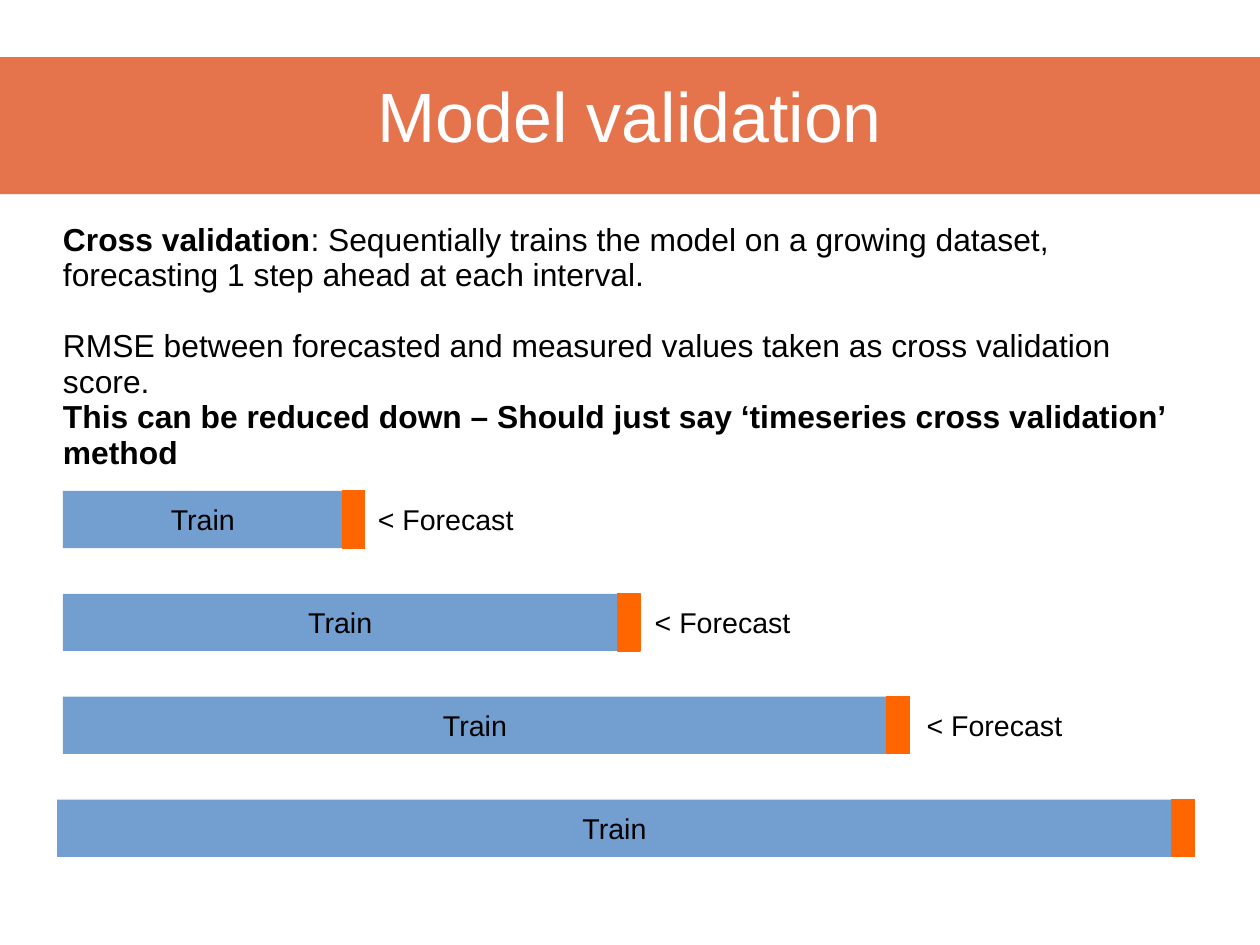
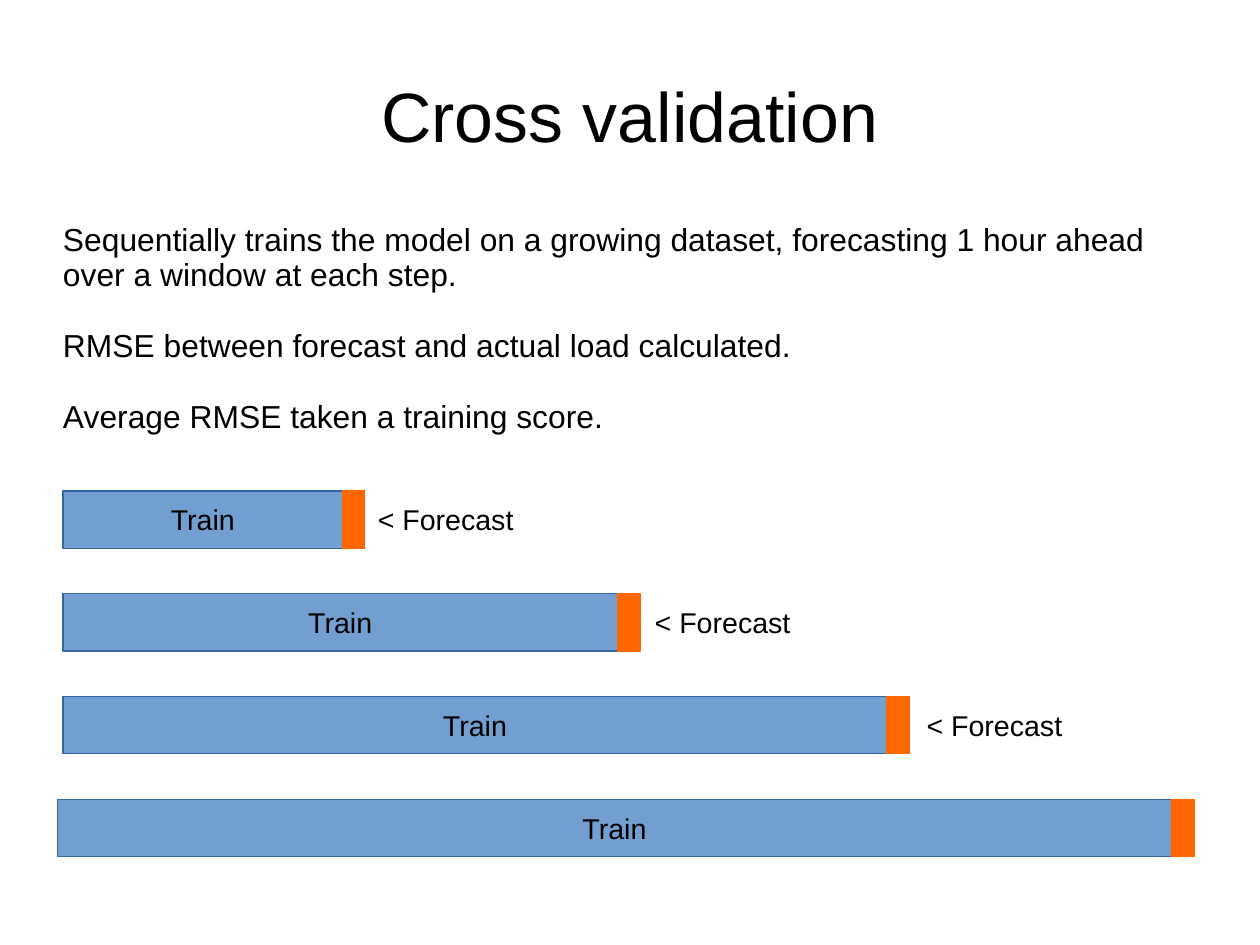
from dataclasses import dataclass

from lxml import etree
from pptx import Presentation
from pptx.dml.color import RGBColor
from pptx.enum.shapes import MSO_SHAPE
from pptx.enum.text import MSO_ANCHOR, MSO_AUTO_SIZE, PP_ALIGN
from pptx.oxml.ns import qn
from pptx.util import Inches, Mm, Pt

SLIDE_WIDTH, SLIDE_HEIGHT = Mm(280), Mm(210)


@dataclass(frozen=True)
class Theme:
    font: str = "Arial"
    band: str = "DD4814"
    band_opacity: int = 76
    train: str = "729FCF"
    train_outline: str = "3465A4"
    forecast: str = "FF6600"
    paper: str = "FFFFFF"
    ink: str = "000000"
    title_size: int = 44
    body_size: int = 20
    label_size: int = 18
    outline_width: float = 0.75
    line_spacing: float = 0.93
    paragraph_gap: float = 22.3


THEME = Theme()

# Left, top, width and height in percent of the slide
TITLE_AREA = (5, 4, 90, 16.7)
BODY_AREA = (5, 23.35, 90, 58)
BAND_AREA = (0, 6.05, 100, 14.5)

# Diagram rows: start of training, start of forecast, start of label
TRAINING_STEPS = [
    (5, 27.2, 29.02),
    (5, 49, 51),
    (5, 70.4, 72.57),
    (4.54, 93, None),
]
FIRST_ROW, ROW_PITCH, ROW_HEIGHT = 51.95, 10.89, 6.05
FORECAST_WIDTH, LABEL_WIDTH = 1.8, 12.7

# Each paragraph: runs as (text, bold), and whether a gap comes before it
VALIDATION_TEXT = [
    ([("Cross validation", True),
      (": Sequentially trains the model on a growing dataset, "
       "forecasting 1 step ahead at each interval.", False)], False),
    ([("RMSE between forecasted and measured values taken as "
       "cross validation score.", False)], True),
    ([("This can be reduced down – Should just say ‘timeseries cross "
       "validation’ method", True)], False),
]
TRAINING_TEXT = [
    ([("Sequentially trains the model on a growing dataset, forecasting "
       "1 hour ahead over a window at each step.", False)], False),
    ([("RMSE between forecast and actual load calculated.", False)], True),
    ([("Average RMSE taken a training score.", False)], True),
]


def set_all(target, values):
    for name, value in values.items():
        setattr(target, name, value)


def to_lengths(area):
    """Turn percentages of the slide into left, top, width and height."""
    sides = (SLIDE_WIDTH, SLIDE_HEIGHT) * 2
    return [round(side * share / 100) for side, share in zip(sides, area)]


def place(shape, area):
    names = ("left", "top", "width", "height")
    set_all(shape, dict(zip(names, to_lengths(area))))


def format_frame(shape, anchor, margins, wrap=True):
    """Set anchor, wrapping and the left, top, right and bottom margins."""
    names = ("margin_left", "margin_top", "margin_right", "margin_bottom")
    set_all(shape.text_frame, {
        "auto_size": MSO_AUTO_SIZE.NONE,
        "word_wrap": wrap,
        "vertical_anchor": anchor,
        **dict(zip(names, map(Inches, margins))),
    })


def format_paragraph(paragraph, alignment, gap=0):
    set_all(paragraph, {
        "alignment": alignment,
        "line_spacing": THEME.line_spacing,
        "space_before": Pt(gap),
        "space_after": Pt(0),
    })


def add_run(paragraph, text, size, color=THEME.ink, bold=False):
    run = paragraph.add_run()
    run.text = text
    set_all(run.font, {"name": THEME.font, "size": Pt(size), "bold": bold})
    run.font.color.rgb = RGBColor.from_string(color)


def remove_bullet(paragraph):
    properties = paragraph._p.get_or_add_pPr()
    properties.set("marL", "0")
    properties.set("indent", "0")
    etree.SubElement(properties, qn("a:buNone"))


def add_slide(presentation, title, paragraphs, title_color=THEME.ink):
    slide = presentation.slides.add_slide(presentation.slide_layouts[1])
    heading, body = slide.placeholders

    place(heading, TITLE_AREA)
    format_frame(heading, MSO_ANCHOR.MIDDLE, (0, 0.04, 0, 0))
    paragraph = heading.text_frame.paragraphs[0]
    format_paragraph(paragraph, PP_ALIGN.CENTER)
    add_run(paragraph, title, THEME.title_size, title_color)

    place(body, BODY_AREA)
    format_frame(body, MSO_ANCHOR.TOP, (0, 0.02, 0, 0))
    for index, (runs, gap_before) in enumerate(paragraphs):
        frame = body.text_frame
        paragraph = frame.add_paragraph() if index else frame.paragraphs[0]
        remove_bullet(paragraph)
        format_paragraph(paragraph, PP_ALIGN.LEFT,
                         THEME.paragraph_gap if gap_before else 0)
        for text, bold in runs:
            add_run(paragraph, text, THEME.body_size, bold=bold)
    return slide


def add_box(shapes, area, fill, outline=None, text=None):
    box = shapes.add_shape(MSO_SHAPE.RECTANGLE, *to_lengths(area))
    box.shadow.inherit = False
    box.fill.solid()
    box.fill.fore_color.rgb = RGBColor.from_string(fill)
    if outline:
        box.line.color.rgb = RGBColor.from_string(outline)
        box.line.width = Pt(THEME.outline_width)
    else:
        box.line.fill.background()
    if text:
        format_frame(box, MSO_ANCHOR.MIDDLE, (0.1, 0.07, 0.1, 0.05), wrap=False)
        paragraph = box.text_frame.paragraphs[0]
        format_paragraph(paragraph, PP_ALIGN.CENTER)
        add_run(paragraph, text, THEME.label_size)
    return box


def add_title_band(slide):
    """Add a translucent band behind the title."""
    band = add_box(slide.shapes, BAND_AREA, THEME.band)
    color = band.element.spPr.find(f".//{qn('a:srgbClr')}")
    etree.SubElement(color, qn("a:alpha"), val=str(THEME.band_opacity * 1000))
    slide.shapes.title.element.addprevious(band.element)


def add_training_diagram(shapes, outline=None):
    """Add one growing training bar with its forecast step per row."""
    for row, (start, split, label) in enumerate(TRAINING_STEPS):
        top = FIRST_ROW + row * ROW_PITCH
        add_box(shapes, (start, top, split - start, ROW_HEIGHT),
                THEME.train, outline, "Train")
        add_box(shapes, (split, top, FORECAST_WIDTH, ROW_HEIGHT),
                THEME.forecast, THEME.forecast)
        if label is not None:
            add_box(shapes, (label, top, LABEL_WIDTH, ROW_HEIGHT),
                    THEME.paper, THEME.paper, "< Forecast")


def main():
    presentation = Presentation()
    presentation.slide_width = SLIDE_WIDTH
    presentation.slide_height = SLIDE_HEIGHT

    validation = add_slide(presentation, "Model validation", VALIDATION_TEXT,
                           THEME.paper)
    add_title_band(validation)
    add_training_diagram(validation.shapes)

    training = add_slide(presentation, "Cross validation", TRAINING_TEXT)
    add_training_diagram(training.shapes.add_group_shape().shapes,
                         THEME.train_outline)

    presentation.save("out.pptx")


if __name__ == "__main__":
    main()
